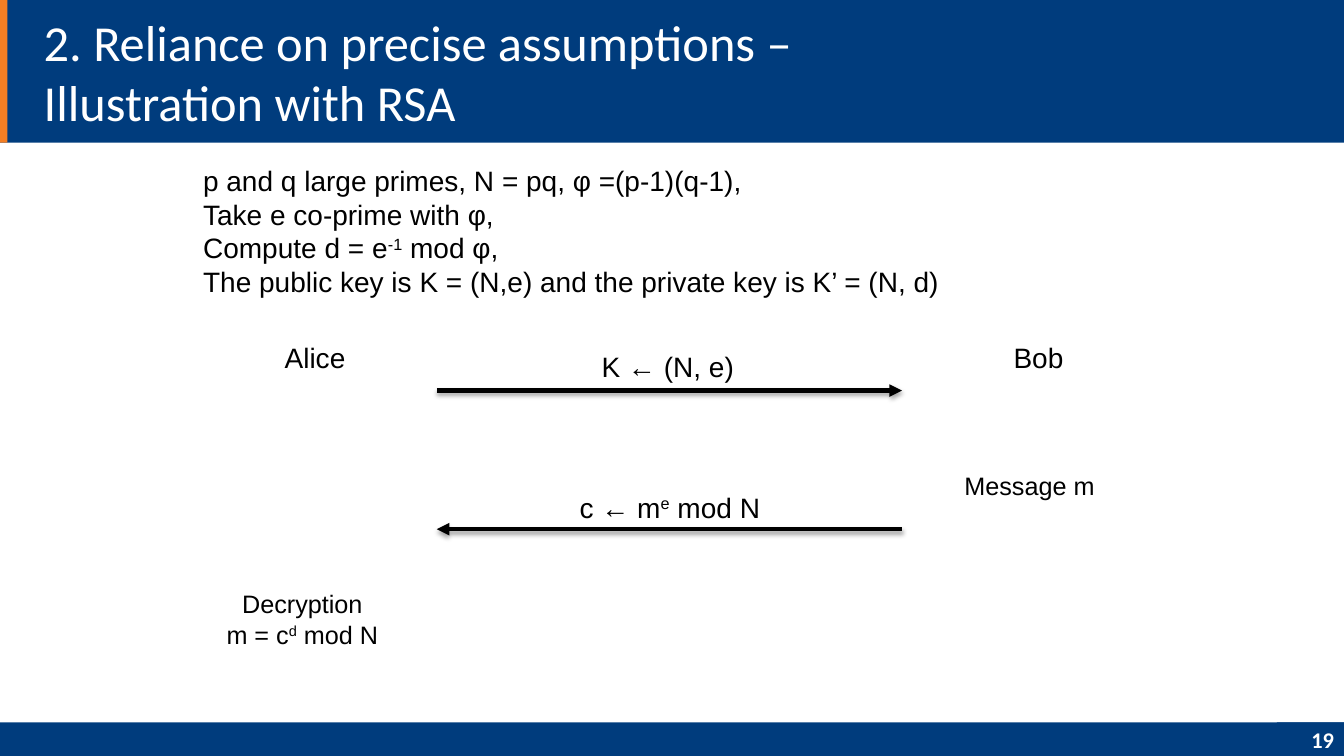
from lxml import etree
from pptx import Presentation
from pptx.dml.color import RGBColor
from pptx.enum.shapes import MSO_CONNECTOR, MSO_SHAPE
from pptx.enum.text import MSO_ANCHOR, MSO_AUTO_SIZE, PP_ALIGN
from pptx.oxml import parse_xml
from pptx.oxml.ns import nsdecls, qn
from pptx.util import Pt

PX = 9525
LEFT, CENTER, RIGHT = PP_ALIGN.LEFT, PP_ALIGN.CENTER, PP_ALIGN.RIGHT
MIDDLE = MSO_ANCHOR.MIDDLE
NO_FIT, GROW = MSO_AUTO_SIZE.NONE, MSO_AUTO_SIZE.SHAPE_TO_FIT_TEXT
RECTANGLE, STRAIGHT = MSO_SHAPE.RECTANGLE, MSO_CONNECTOR.STRAIGHT

WIDTH, HEIGHT = 1280, 720
HEADER_HEIGHT, FOOTER_HEIGHT = 136, 32
FOOTER_TOP = HEIGHT - FOOTER_HEIGHT
ALICE_X, BOB_X = 416, 859

COLORS = {
    "navy": "003C7D",
    "orange": "F47F24",
    "white": "FFFFFF",
    "black": "000000",
}

SETUP_LINES = [
    "p and q large primes, N = pq, φ =(p-1)(q-1),",
    "Take e co-prime with φ,",
    "Compute d = e^-1^ mod φ,",
    "The public key is K = (N,e) and the private key is K’ = (N, d)",
]

LABELS = [
    (["Alice"], (216, 320, 168, 42), 20, CENTER),
    (["Bob"], (905, 320, 168, 42), 20, CENTER),
    (SETUP_LINES, (184, 151, 728, 139), 20, LEFT),
    (["Message m"], (888, 443, 185, 38), 18, CENTER),
    (["Decryption", "m = c^d^ mod N"], (144, 556, 288, 68), 18, CENTER),
]

MESSAGES = [
    ("c ← m^e^ mod N", (494, 462, 288, 42), BOB_X, ALICE_X, 504),
    ("K ← (N, e)", (492, 328, 288, 42), ALICE_X, BOB_X, 372),
]


def emu(box):
    return [length * PX for length in box]


def rgb(name):
    return RGBColor.from_string(COLORS[name])


def format_runs(paragraph, size, font_name, color, alignment, bold=False):
    paragraph.alignment = alignment
    for run in paragraph.runs:
        run.font.size = Pt(size)
        run.font.name = font_name
        run.font.bold = bold
        run.font.color.rgb = rgb(color)


def add_band(slide, box, color):
    shape = slide.shapes.add_shape(RECTANGLE, *emu(box))
    shape.shadow.inherit = False
    shape.fill.solid()
    shape.fill.fore_color.rgb = rgb(color)
    shape.line.fill.background()
    slide.shapes.title.element.addprevious(shape.element)
    return shape


def add_title(slide, text, box):
    title = slide.shapes.title
    title.left, title.top, title.width, title.height = emu(box)
    text_frame = title.text_frame
    text_frame.text = text
    text_frame.word_wrap = True
    text_frame.auto_size = NO_FIT
    text_frame.vertical_anchor = MIDDLE
    format_runs(text_frame.paragraphs[0], 36, "Calibri", "white", LEFT)


def add_page_number(slide, number, box):
    text_frame = add_band(slide, box, "navy").text_frame
    text_frame.text = number
    text_frame.vertical_anchor = MIDDLE
    format_runs(text_frame.paragraphs[0], 16, "Calibri", "white", RIGHT, True)


def add_label(shapes, lines, box, size, alignment):
    text_frame = shapes.add_textbox(*emu(box)).text_frame
    text_frame.word_wrap = True
    text_frame.auto_size = GROW
    for index, line in enumerate(lines):
        paragraph = text_frame.add_paragraph() if index else text_frame.paragraphs[0]
        for part, text in enumerate(line.split("^")):
            run = paragraph.add_run()
            run.text = text
            if part % 2:
                run.font._element.set("baseline", "30000")
        format_runs(paragraph, size, "Arial", "black", alignment)


def add_arrow(shapes, start_x, end_x, y):
    arrow = shapes.add_connector(STRAIGHT, *emu((start_x, y, end_x, y)))
    arrow.line.color.rgb = rgb("black")
    arrow.line.width = Pt(3)
    tail = etree.SubElement(arrow.line._get_or_add_ln(), qn("a:tailEnd"))
    tail.set("type", "triangle")
    arrow.element.spPr.append(parse_xml(
        f'<a:effectLst {nsdecls("a")}>'
        '<a:outerShdw blurRad="39370" dist="22860" dir="5400000" rotWithShape="0">'
        f'<a:srgbClr val="{COLORS["black"]}"><a:alpha val="35000"/></a:srgbClr>'
        '</a:outerShdw></a:effectLst>'
    ))


def add_message(slide, text, box, start_x, end_x, y):
    group = slide.shapes.add_group_shape()
    add_arrow(group.shapes, start_x, end_x, y)
    add_label(group.shapes, [text], box, 20, CENTER)


def main():
    presentation = Presentation()
    presentation.slide_width, presentation.slide_height = emu((WIDTH, HEIGHT))
    slide = presentation.slides.add_slide(presentation.slide_layouts[5])
    add_band(slide, (0, FOOTER_TOP, WIDTH, FOOTER_HEIGHT), "navy")
    add_band(slide, (0, 0, WIDTH, HEADER_HEIGHT), "navy")
    add_band(slide, (0, 0, 7, HEADER_HEIGHT), "orange")
    add_title(
        slide,
        "2. Reliance on precise assumptions – Illustration with RSA",
        (32, 16, 939, 104),
    )
    add_page_number(slide, "19", (WIDTH - 64, FOOTER_TOP, 64, FOOTER_HEIGHT))
    for label in LABELS:
        add_label(slide.shapes, *label)
    for message in MESSAGES:
        add_message(slide, *message)
    presentation.save("out.pptx")


if __name__ == "__main__":
    main()
